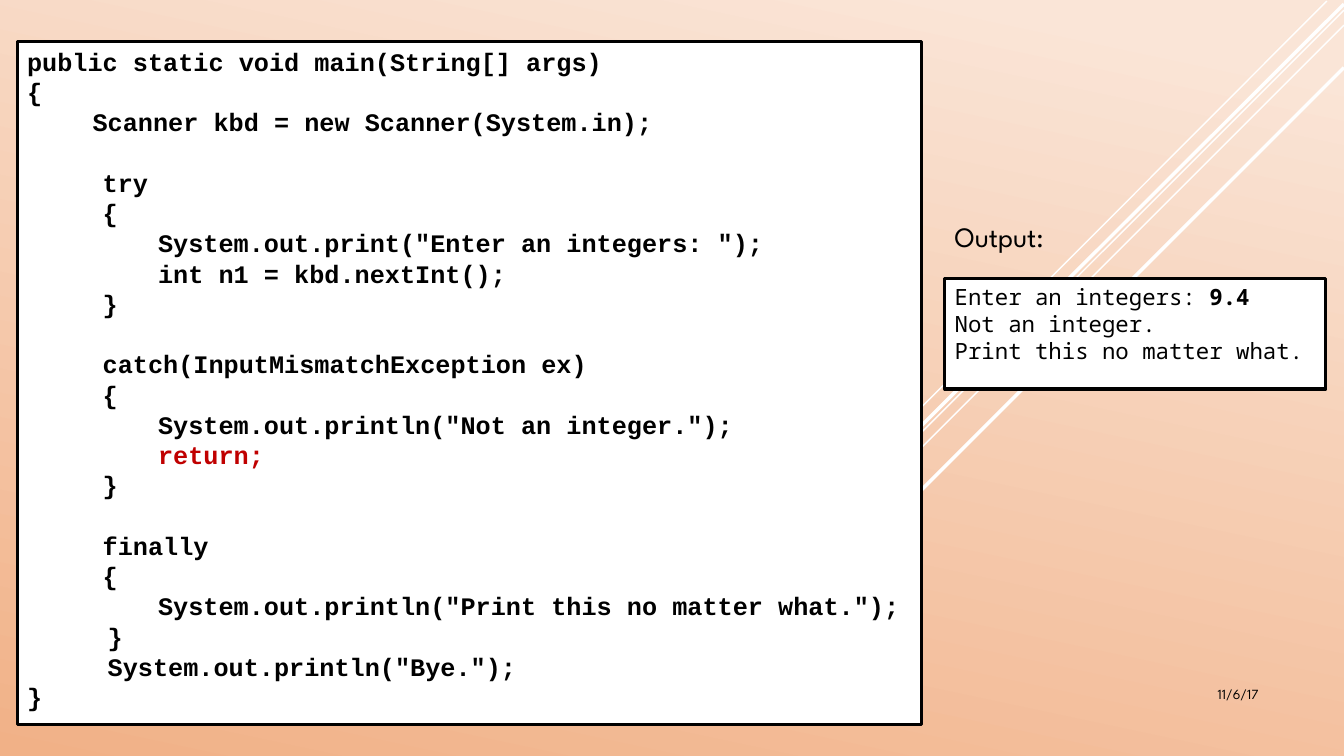
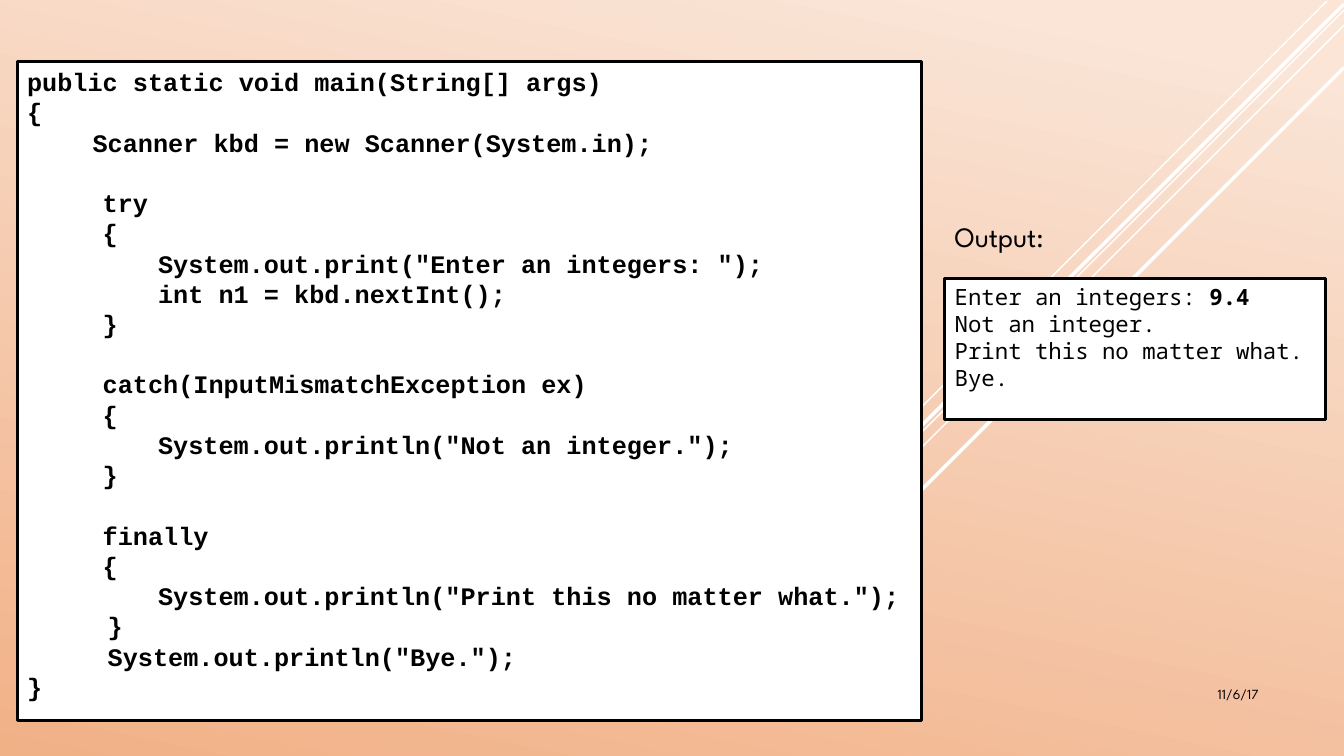
"""Build two slides that compare finally with and without a return."""
from pptx import Presentation
from pptx.dml.color import RGBColor as RGB
from pptx.enum.shapes import MSO_CONNECTOR as LINK, MSO_SHAPE as SHAPE
from pptx.enum.text import MSO_ANCHOR as ANCHOR, PP_ALIGN as ALIGN
from pptx.oxml.ns import qn
from pptx.util import Inches, Pt
from lxml.etree import SubElement

HEAD = [
    (0, "public static void main(String[] args)"),
    (0, "{"),
    (0.65, "Scanner kbd = new Scanner(System.in);"),
]
TRY = [
    (0.75, "try"),
    (0.75, "{"),
    (1.3, 'System.out.print("Enter an integers: ");'),
    (1.3, "int n1 = kbd.nextInt();"),
    (0.75, "}"),
]
CATCH = [
    (0.75, "catch(InputMismatchException ex)"),
    (0.75, "{"),
    (1.3, 'System.out.println("Not an integer.");'),
    (0.75, "}"),
]
LAST = [
    (0.75, "finally"),
    (0.75, "{"),
    (1.3, 'System.out.println("Print this no matter what.");'),
    (0.8, "}"),
    (0.8, 'System.out.println("Bye.");'),
    (0, "}"),
]
LEAVE = (1.3, "return;")
PROMPT, INPUT = "Enter an integers: ", "9.4"
REPLY = ["Not an integer.", "Print this no matter what."]

SLIDES = [
    {"blocks": [HEAD, TRY, CATCH[:-1] + [LEAVE] + CATCH[-1:], LAST],
     "reply": REPLY, "code": (0.17, 0.41, 8.97, 6.78), "out": (9.37, 2.76, 3.78, 1.1)},
    {"blocks": [HEAD, TRY, CATCH, LAST],
     "reply": REPLY + ["Bye."], "code": (0.17, 0.61, 8.97, 6.54), "out": (9.37, 2.76, 3.78, 1.4)},
]
RAYS = [
    (13.16, 0.01, 9, 4.18, 1),
    (13.33, 0.1, 6.68, 6.75, 1),
    (13.33, 0.25, 7.91, 5.67, 1),
    (13.33, 0.04, 8.02, 5.34, 2.5),
    (13.33, 0.67, 8.58, 5.42, 2.5),
]
LABELS = [
    ("11/6/17", (10.83, 6.75, 1.75, 0.4), "date", ALIGN.RIGHT),
    ("Output:", (9.37, 2.13, 2.76, 0.44), "label", ALIGN.LEFT),
]


class Theme:
    ink = RGB.from_string("000000")
    paper = RGB.from_string("FFFFFF")
    alert = RGB.from_string("C00000")
    glow = [(0.07, RGB.from_string("FAE5D7")), (1, RGB.from_string("F1B187"))]
    angle = 258
    border = 2.25
    pitch = 1.2
    fonts = {
        "code": ("Courier New", 18, True),
        "out": ("Noto Sans Mono", 16, False),
        "label": ("League Spartan", 20, False),
        "date": ("League Spartan", 10, False),
    }


def style(run, role, color=Theme.ink):
    font = run.font
    font.name, size, font.bold = Theme.fonts[role]
    font.size = Pt(size)
    font.color.rgb = color


def paint(master):
    fill = master.background.fill
    fill.gradient()
    fill.gradient_angle = Theme.angle
    for stop, (place, color) in zip(fill.gradient_stops, Theme.glow):
        stop.position = place
        stop.color.rgb = color


def add_frame(slide):
    for *ends, width in RAYS:
        ray = slide.shapes.add_connector(LINK.STRAIGHT, *map(Inches, ends))
        ray.line.color.rgb = Theme.paper
        ray.line.width = Pt(width)
        SubElement(ray._element.spPr, qn("a:effectLst"))
    for text, place, role, align in LABELS:
        frame = slide.shapes.add_textbox(*map(Inches, place)).text_frame
        frame.word_wrap = True
        frame.text = text
        frame.paragraphs[0].alignment = align
        style(frame.paragraphs[0].runs[0], role)


def add_panel(slide, place, lines, role):
    box = slide.shapes.add_shape(SHAPE.RECTANGLE, *map(Inches, place))
    box.shadow.inherit = False
    box.fill.solid()
    box.fill.fore_color.rgb = Theme.paper
    box.line.color.rgb = Theme.ink
    box.line.width = Pt(Theme.border)
    frame = box.text_frame
    frame.word_wrap = True
    frame.vertical_anchor = ANCHOR.TOP
    frame.text = "\n".join(lines)
    for para in frame.paragraphs:
        para.alignment = ALIGN.LEFT
        para.line_spacing = Pt(Theme.fonts[role][1] * Theme.pitch)
        style(para.runs[0], role)
    return frame.paragraphs


def add_code(slide, place, blocks):
    rows = [(indent, text, n > 0 and i == 0)
            for n, block in enumerate(blocks) for i, (indent, text) in enumerate(block)]
    paras = add_panel(slide, place, [text for _, text, _ in rows], "code")
    for para, (indent, text, gap) in zip(paras, rows):
        para._p.get_or_add_pPr().set("marL", str(Inches(indent)))
        if gap:
            para.space_before = para.line_spacing
        if text == LEAVE[1]:
            style(para.runs[0], "code", Theme.alert)


def add_output(slide, place, reply):
    first = add_panel(slide, place, [PROMPT] + reply, "out")[0]
    typed = first.add_run()
    typed.text = INPUT
    style(typed, "out")
    typed.font.bold = True


def main():
    deck = Presentation()
    deck.slide_width, deck.slide_height = Inches(13.33), Inches(7.5)
    paint(deck.slide_master)
    for page in SLIDES:
        slide = deck.slides.add_slide(deck.slide_layouts[6])
        add_frame(slide)
        add_code(slide, page["code"], page["blocks"])
        add_output(slide, page["out"], page["reply"])
    deck.save("out.pptx")


if __name__ == "__main__":
    main()
